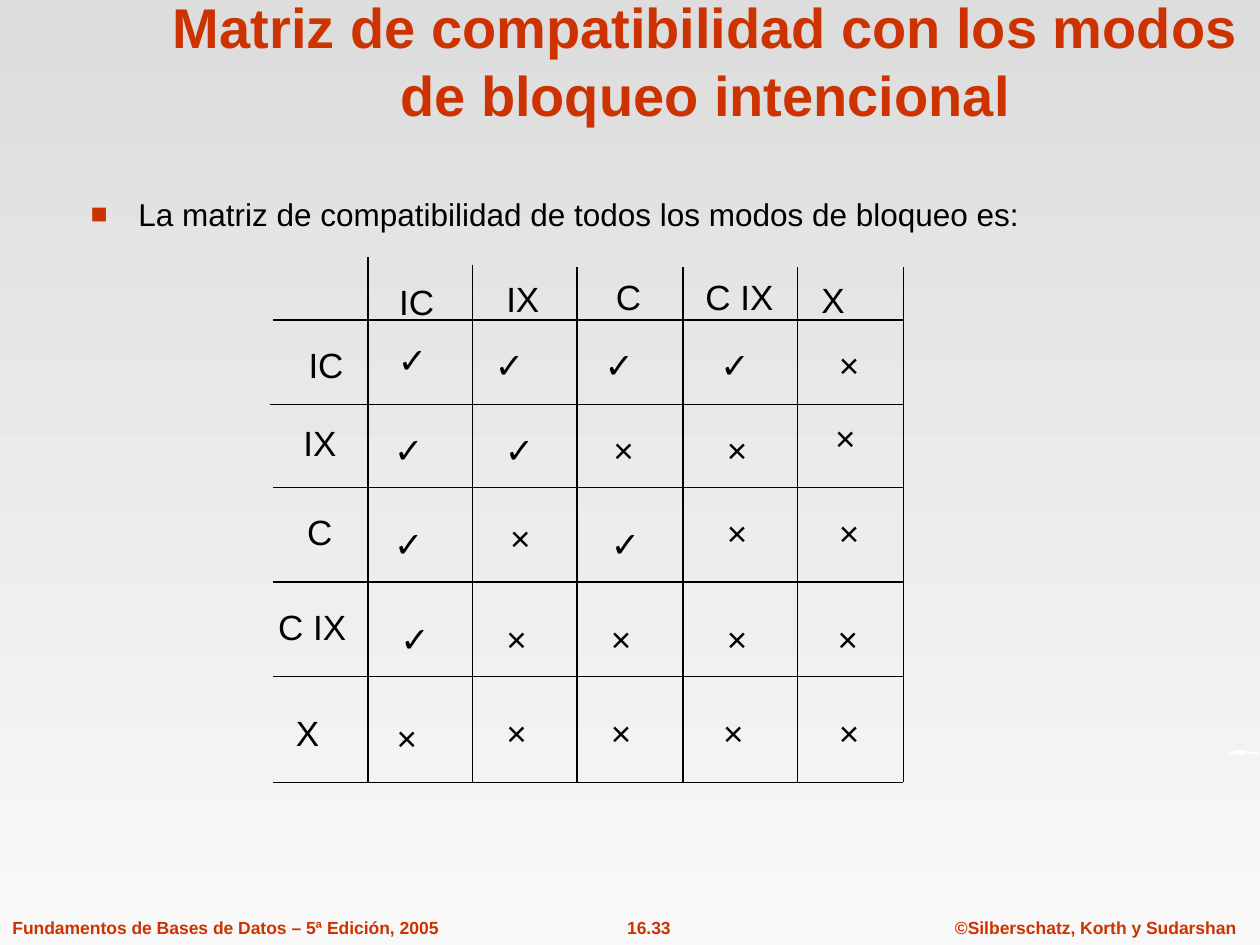
"""Builds the slide with the compatibility matrix of the intention lock modes."""
import lxml.etree
import pptx
import pptx.dml.color
import pptx.enum.shapes
import pptx.enum.text
import pptx.oxml.ns
import pptx.util

RGB = pptx.dml.color.RGBColor.from_string
ALIGN = pptx.enum.text.PP_ALIGN
ANCHOR = pptx.enum.text.MSO_ANCHOR
FIT = pptx.enum.text.MSO_AUTO_SIZE
Pt = pptx.util.Pt
qn = pptx.oxml.ns.qn

theme = {
    "font": "Arial", "accent": "CC3300", "ink": "000000", "curl": "FFFFFF",
    "backdrop": ("DDDDDD", "F8F8F8"), "rule": Pt(0.75),
    "title": Pt(32), "body": Pt(18), "matrix": Pt(20), "footer": Pt(10),
}

deck = pptx.Presentation()
deck.slide_width, deck.slide_height = pptx.util.Inches(10), pptx.util.Inches(7.5)
column, row = deck.slide_width / 10, deck.slide_height / 7.5
slide = deck.slides.add_slide(deck.slide_layouts[6])


def write(shapes, text, place, role, color, frame=None, paragraph=None, bold=False):
    """Adds text at a place given in columns and rows and returns its paragraph."""
    left, top, width, height = place
    box = shapes.add_textbox(int(left * column), int(top * row),
                             int(width * column), int(height * row)).text_frame
    line = box.paragraphs[0]
    line.text = text
    formats = [
        (box, {"word_wrap": False, "auto_size": FIT.SHAPE_TO_FIT_TEXT, **(frame or {})}),
        (line, paragraph or {}),
    ]
    formats += [(run.font, {"name": theme["font"], "size": theme[role], "bold": bold})
                for run in line.runs]
    for target, values in formats:
        for attribute, value in values.items():
            setattr(target, attribute, value)
    for run in line.runs:
        run.font.color.rgb = RGB(theme[color])
    return line


def rule(shapes, x1, y1, x2, y2):
    """Draws a thin matrix line between two points in columns and rows."""
    stroke = shapes.add_connector(pptx.enum.shapes.MSO_CONNECTOR.STRAIGHT,
                                  int(x1 * column), int(y1 * row),
                                  int(x2 * column), int(y2 * row))
    stroke.line.width = theme["rule"]
    stroke.line.color.rgb = RGB(theme["ink"])
    lxml.etree.SubElement(stroke._element.spPr, qn("a:effectLst"))


backdrop = slide.background.fill
backdrop.gradient()
backdrop.gradient_angle = 270
for stop, shade in zip(backdrop.gradient_stops, theme["backdrop"]):
    stop.color.rgb = RGB(shade)

footers = [
    ("16.33", (4.62, 7.23, 1.06, 0.27), ALIGN.CENTER),
    ("©Silberschatz, Korth y Sudarshan", (7.48, 7.23, 2.43, 0.27), ALIGN.CENTER),
    ("Fundamentos de Bases de Datos – 5ª Edición, 2005", (0, 7.23, 3.58, 0.27), ALIGN.LEFT),
]
for text, place, align in footers:
    write(slide.shapes, text, place, "footer", "accent", bold=True,
          paragraph={"alignment": align, "space_before": Pt(6.2)})

curl_edge = [(976, 598), (979, 596), (984, 595), (988, 596), (993, 597), (997, 597),
             (1000, 598), (999, 599), (996, 599), (992, 598), (988, 597), (988, 600),
             (985, 597), (985, 600), (982, 597), (983, 600), (980, 598), (977, 599)]
outline = slide.shapes.build_freeform(975, 601, scale=(column / 100, row / 100))
outline.add_line_segments(curl_edge, close=True)
curl = outline.convert_to_shape()
curl.shadow.inherit = False
curl.fill.solid()
curl.fill.fore_color.rgb = RGB(theme["curl"])
curl.line.fill.background()

fixed = {"word_wrap": True, "auto_size": FIT.NONE}
write(slide.shapes, "Matriz de compatibilidad con los modos\vde bloqueo intencional",
      (0.81, 0.39, 9.58, 0.67), "title", "accent", bold=True,
      frame={**fixed, "vertical_anchor": ANCHOR.BOTTOM},
      paragraph={"alignment": ALIGN.CENTER})
intro = write(slide.shapes, "La matriz de compatibilidad de todos los modos de bloqueo es:",
              (0.62, 1.5, 8.58, 4.83), "body", "ink", frame=fixed,
              paragraph={"space_before": Pt(7.9)})
bullet = intro._p.get_or_add_pPr()
bullet.set("marL", str(int(0.38 * column)))
bullet.set("indent", str(int(-0.38 * column)))
bullet_color = lxml.etree.SubElement(bullet, qn("a:buClr"))
lxml.etree.SubElement(bullet_color, qn("a:srgbClr"), val=theme["accent"])
lxml.etree.SubElement(bullet, qn("a:buSzPct"), val="90000")
lxml.etree.SubElement(bullet, qn("a:buFont"), typeface=theme["font"])
lxml.etree.SubElement(bullet, qn("a:buChar"), char="■")

matrix = slide.shapes.add_group_shape().shapes
right, bottom = 7.17, 6.21
for x, top in [(2.92, 2.04), (3.75, 2.1), (4.58, 2.12), (5.42, 2.12), (6.33, 2.12), (right, 2.12)]:
    rule(matrix, x, top, x, bottom)
for y, left in [(2.54, 2.17), (3.21, 2.14), (3.87, 2.17), (4.62, 2.17), (5.37, 2.17), (bottom, 2.17)]:
    rule(matrix, left, y, right, y)

mode_widths = {"IC": 0.48, "IX": 0.46, "C": 0.4, "C IX": 0.74, "X": 0.46}
mode_places = [
    [(3.07, 2.18), (3.92, 2.15), (4.79, 2.14), (5.5, 2.14), (6.42, 2.16)],
    [(2.35, 2.68), (2.31, 3.3), (2.34, 4), (2.11, 4.76), (2.25, 5.6)],
]
text_height = 0.44
for places in mode_places:
    for (mode, width), (left, top) in zip(mode_widths.items(), places):
        write(matrix, mode, (left, top, width, text_height), "matrix", "ink")

compatibility = ["✓✓✓✓×", "✓✓×××", "✓×✓××", "✓××××", "×××××"]
mark_lefts = [3.05, 3.92, 4.75, 5.67, 6.56]
mark_tops = [2.68, 3.35, 4.05, 4.85, 5.6]
mark_widths = {"✓": 0.43, "×": 0.42}
nudges = {
    (0, 0): (0.01, -0.04), (0, 1): (-0.09, 0), (0, 2): (-0.05, 0), (0, 3): (-0.05, 0),
    (1, 0): (-0.02, 0), (1, 1): (-0.01, 0), (1, 2): (0.02, 0), (1, 4): (-0.03, -0.09),
    (2, 0): (-0.02, 0.05), (2, 1): (0.03, 0), (2, 2): (0, 0.05), (2, 3): (0, -0.04),
    (2, 4): (0, -0.04), (3, 0): (0.03, 0), (3, 4): (-0.01, 0),
    (4, 0): (0, 0.04), (4, 3): (-0.03, 0),
}
for held, (marks, top) in enumerate(zip(compatibility, mark_tops)):
    for asked, (mark, left) in enumerate(zip(marks, mark_lefts)):
        dx, dy = nudges.get((held, asked), (0, 0))
        write(matrix, mark, (left + dx, top + dy, mark_widths[mark], text_height), "matrix", "ink")

deck.save("out.pptx")
